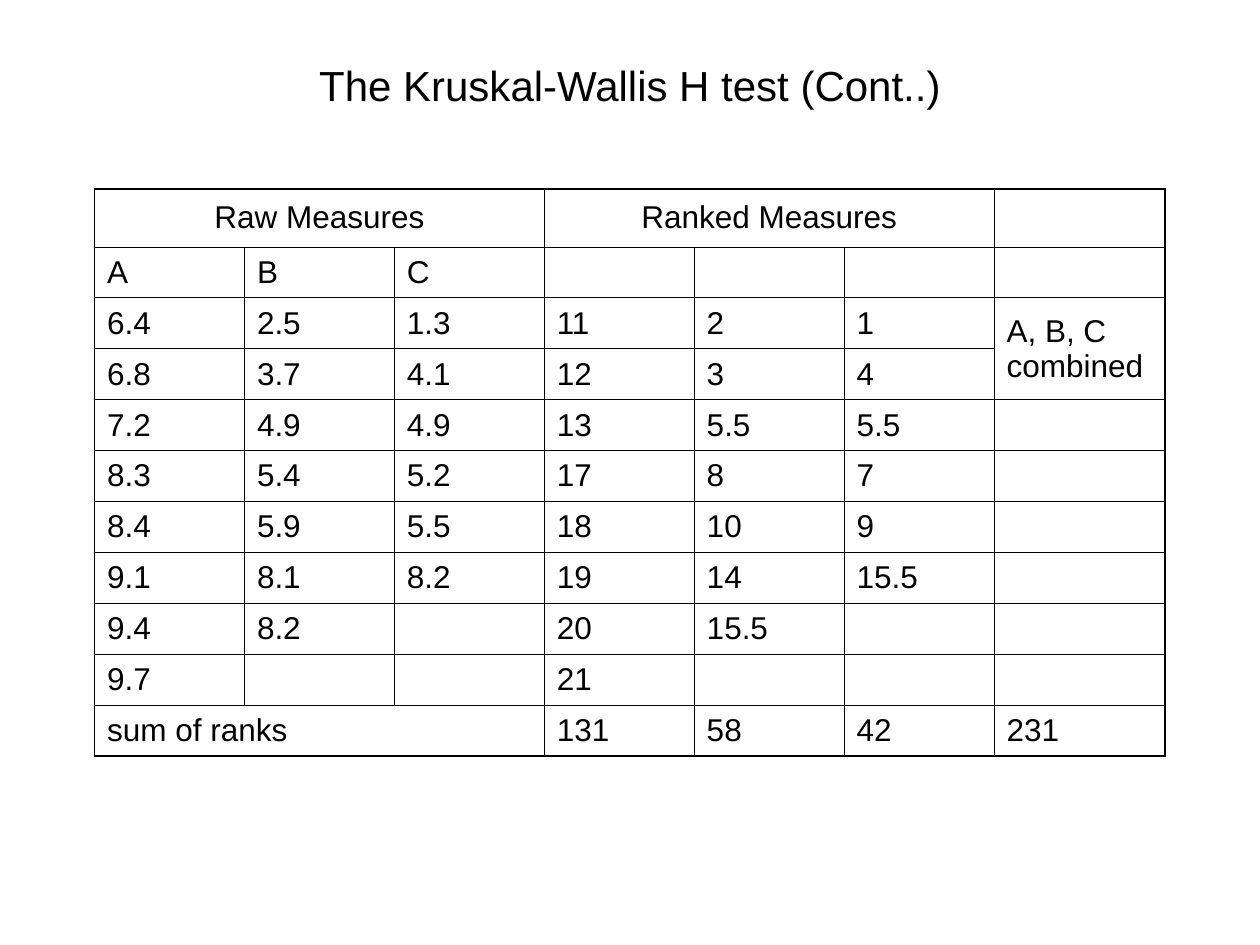
"""Build the Kruskal-Wallis slide: a title above a table of raw and ranked measures."""
from lxml.etree import SubElement
from pptx import Presentation
from pptx.dml.color import RGBColor
from pptx.enum.text import MSO_ANCHOR, PP_ALIGN
from pptx.oxml.ns import qn
from pptx.util import Inches, Pt

TITLE = "The Kruskal-Wallis H test (Cont..)"
ROWS = [
    ("Raw Measures", "", "", "Ranked Measures", "", "", ""),
    ("A", "B", "C", "", "", "", ""),
    ("6.4", "2.5", "1.3", "11", "2", "1", "A, B, C combined"),
    ("6.8", "3.7", "4.1", "12", "3", "4", ""),
    ("7.2", "4.9", "4.9", "13", "5.5", "5.5", ""),
    ("8.3", "5.4", "5.2", "17", "8", "7", ""),
    ("8.4", "5.9", "5.5", "18", "10", "9", ""),
    ("9.1", "8.1", "8.2", "19", "14", "15.5", ""),
    ("9.4", "8.2", "", "20", "15.5", "", ""),
    ("9.7", "", "", "21", "", "", ""),
    ("sum of ranks", "", "", "131", "58", "42", "231"),
]
MERGES = [((0, 0), (0, 2)), ((0, 3), (0, 5)), ((2, 6), (3, 6)), ((10, 0), (10, 2))]
COLORS = {"ink": "000000"}
FONT = "Arial"
WIDE, HIGH = 8.5, 4.5
COL, HEAD = 1.19, 0.46
THIN, THICK = 0.45, 1.08


def write(frame, text, size=18, align=PP_ALIGN.LEFT, before=0):
    """Put one formatted paragraph into a text frame."""
    para = frame.paragraphs[0]
    para.alignment = align
    para.space_before = Pt(before)
    run = para.add_run()
    run.text = text
    run.font.size = Pt(size)
    run.font.name = FONT
    run.font.color.rgb = RGBColor.from_string(COLORS["ink"])


def border(cell, sides):
    """Draw the four cell borders, given as side and width in points."""
    props = cell._tc.get_or_add_tcPr()
    for spot, (side, width) in enumerate(sides.items()):
        line = SubElement(props, qn("a:ln" + side), w=str(Pt(width)))
        fill = SubElement(line, qn("a:solidFill"))
        SubElement(fill, qn("a:srgbClr"), val=COLORS["ink"])
        props.insert(spot, line)


deck = Presentation()
deck.slide_width, deck.slide_height = Inches(10), Inches(7.5)
slide = deck.slides.add_slide(deck.slide_layouts[6])

title = slide.shapes.add_textbox(Inches(0.5), Inches(0.42), Inches(9), Inches(0.5))
title.text_frame.word_wrap = True
title.text_frame.vertical_anchor = MSO_ANCHOR.MIDDLE
write(title.text_frame, TITLE, size=24, align=PP_ALIGN.CENTER)

rows, cols = len(ROWS), len(ROWS[0])
table = slide.shapes.add_table(
    rows, cols, Inches(0.75), Inches(1.5), Inches(WIDE), Inches(HIGH)).table
table.first_row = table.horz_banding = False
for c, column in enumerate(table.columns):
    column.width = Inches(COL if c < cols - 1 else WIDE - COL * (cols - 1))
for r, row in enumerate(table.rows):
    row.height = Inches((HIGH - HEAD) / (rows - 1) if r else HEAD)
for first, last in MERGES:
    table.cell(*first).merge(table.cell(*last))

for r, row in enumerate(ROWS):
    for c, text in enumerate(row):
        cell = table.cell(r, c)
        cell.vertical_anchor = MSO_ANCHOR.MIDDLE
        cell.fill.background()
        edges = {"L": c == 0, "R": c == cols - 1, "T": r == 0, "B": r == rows - 1}
        border(cell, {side: THICK if outer else THIN for side, outer in edges.items()})
        if text:
            align = PP_ALIGN.LEFT if r else PP_ALIGN.CENTER
            write(cell.text_frame, text, align=align, before=4.5)

deck.save("out.pptx")
